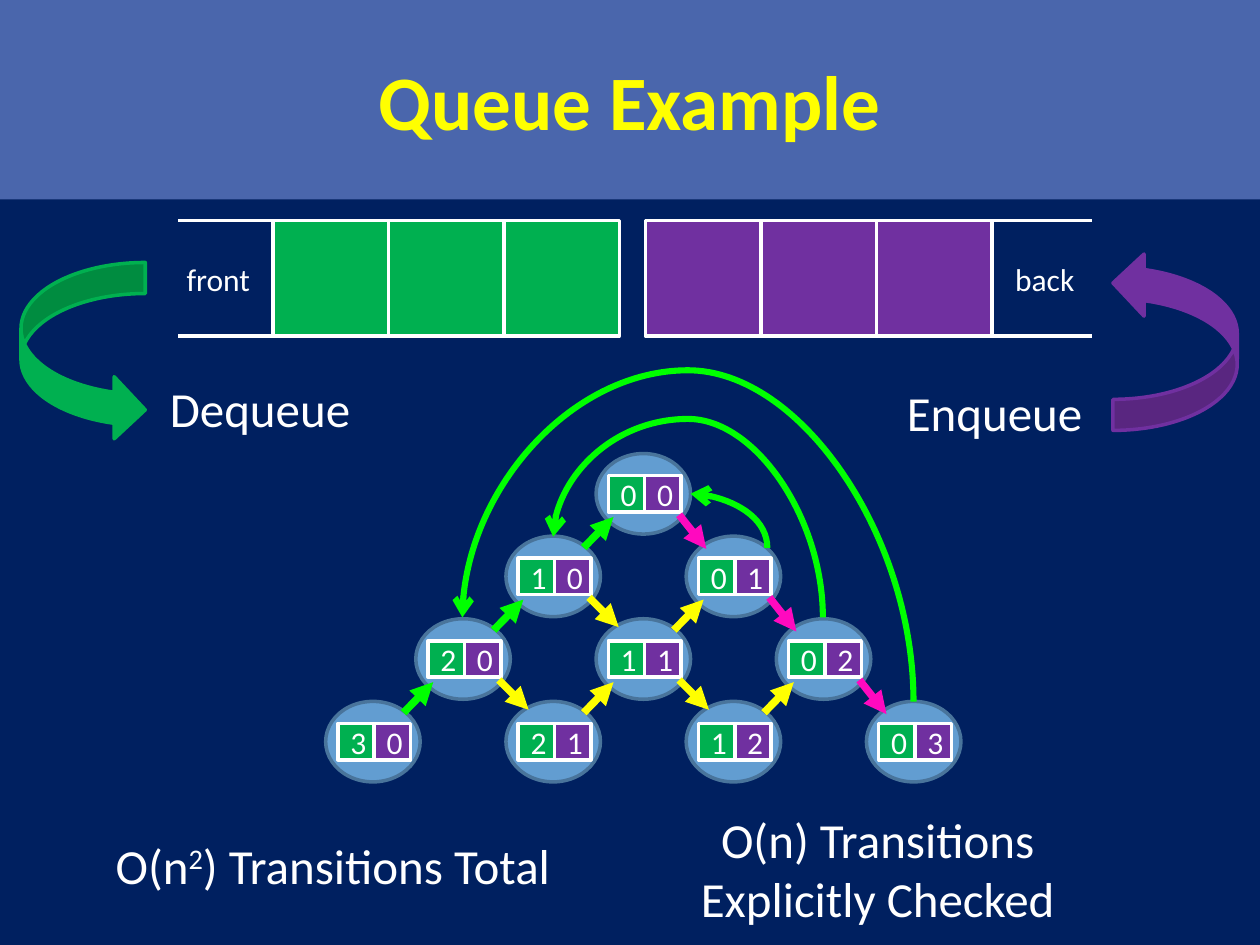
from pptx import Presentation
from pptx import util as u
from pptx.dml import color
from pptx.enum import shapes, text
from pptx.oxml import ns
from lxml import etree

COLORS = {
    "night": "002060", "banner": "4A66AC", "white": "FFFFFF",
    "title": "FFFF00", "front": "00B050", "back": "7030A0",
    "state": "629DD1", "state_edge": "49749B",
    "dequeue": "00FF00", "enqueue": "FF09BF", "implied": "FFFF00",
}
FONT = "Calibri"
PRESET = shapes.MSO_SHAPE
ALIGN = text.PP_ALIGN
LEVELS = 4
STATE_W, STATE_H = 54, 46
CELL = 20.8
SLOT = 66


def rgb(name):
    return color.RGBColor.from_string(COLORS[name])


def write(frame, runs, size, align, ink="white", bold=None):
    paragraph = frame.paragraphs[0]
    paragraph.alignment = align
    for words, baseline in runs:
        run = paragraph.add_run()
        run.text = words
        run.font.name = FONT
        run.font.size = u.Pt(size)
        run.font.bold = bold
        run.font.color.rgb = rgb(ink)
        if baseline:
            run.font._element.set("baseline", str(baseline))


def add_block(parent, preset, left, top, width, height, fill, edge=None):
    block = parent.add_shape(preset, u.Pt(left), u.Pt(top), u.Pt(width), u.Pt(height))
    block.shadow.inherit = False
    block.fill.solid()
    block.fill.fore_color.rgb = rgb(fill)
    if edge:
        block.line.color.rgb = rgb(edge)
        block.line.width = u.Pt(2)
    else:
        block.line.fill.background()
    return block


def add_label(parent, left, top, width, height, runs, size, align=ALIGN.LEFT):
    label = parent.add_textbox(u.Pt(left), u.Pt(top), u.Pt(width), u.Pt(height))
    label.text_frame.word_wrap = True
    write(label.text_frame, runs, size, align)


def add_line(parent, start, end, ink, width, head=None, kind=shapes.MSO_CONNECTOR.STRAIGHT):
    line = parent.add_connector(kind, *(u.Pt(v) for v in (*start, *end)))
    line.line.color.rgb = rgb(ink)
    line.line.width = u.Pt(width)
    if head:
        outline = line.line._get_or_add_ln()
        etree.SubElement(outline, ns.qn("a:tailEnd")).set("type", head)
    etree.SubElement(line._element.spPr, ns.qn("a:effectLst"))
    return line


def add_return_arc(parent, start, end, bend=None):
    mid_x, mid_y = (start[0] + end[0]) / 2, (start[1] + end[1]) / 2
    half_w, half_h = (start[1] - end[1]) / 2, (start[0] - end[0]) / 2
    arc = add_line(parent, (mid_x - half_w, mid_y + half_h), (mid_x + half_w, mid_y - half_h),
                   "dequeue", 3.5, "arrow", shapes.MSO_CONNECTOR.CURVE)
    properties = arc._element.spPr
    properties.find(ns.qn("a:xfrm")).set("rot", str(270 * 60000))
    geometry = properties.find(ns.qn("a:prstGeom"))
    geometry.set("prst", "curvedConnector3" if bend else "curvedConnector2")
    if bend:
        guide = etree.SubElement(geometry.find(ns.qn("a:avLst")), ns.qn("a:gd"))
        guide.set("name", "adj1")
        guide.set("fmla", f"val {round(bend * 100000)}")


def state_corner(level, enqueued):
    return 340.6 + 51.5 * (2 * enqueued - level), 259.2 + 47.2 * level


def add_state(parent, level, enqueued):
    left, top = state_corner(level, enqueued)
    state = parent.add_group_shape().shapes
    add_block(state, PRESET.OVAL, left, top, STATE_W, STATE_H, "state", "state_edge")
    for side, (count, fill) in enumerate([(level - enqueued, "front"), (enqueued, "back")]):
        cell = add_block(state, PRESET.RECTANGLE, left + 7 + side * CELL, top + 12.6,
                         CELL, CELL, fill, "white")
        cell.text_frame.vertical_anchor = text.MSO_ANCHOR.MIDDLE
        write(cell.text_frame, [(str(count), 0)], 18, ALIGN.CENTER)


def add_transition(parent, corner, offset, step, ink):
    start = corner[0] + offset[0], corner[1] + offset[1]
    end = start[0] + step[0], start[1] + step[1]
    add_line(parent, start, end, ink, 4.3, "triangle")


def add_state_graph(parent):
    states = [(level, i) for level in range(LEVELS) for i in range(level + 1)]
    for level, enqueued in states:
        add_state(parent, level, enqueued)
    for level, enqueued in states:
        corner = state_corner(level, enqueued)
        if enqueued < level:
            ink = "implied" if enqueued else "dequeue"
            add_transition(parent, corner, (44.5, 6.5), (17, -17.5), ink)
        if level < LEVELS - 1:
            checked = enqueued == level
            step = (15.5, 19.5) if checked else (17, 17)
            add_transition(parent, corner, (47.5, 35), step,
                           "enqueue" if checked else "implied")
    add_return_arc(parent, (438.5, 313.2), (394.6, 282.2))
    add_return_arc(parent, (470.2, 352.8), (316.1, 306.7), 2.46)
    add_return_arc(parent, (522, 401), (264.2, 352.8), 3.93)


def add_queue(parent):
    for first, fill in [(156, "front"), (368.8, "back")]:
        for slot in range(3):
            add_block(parent, PRESET.RECTANGLE, first + slot * SLOT, 126, SLOT, SLOT, fill, "white")
    for left, right in [(102, 159), (567, 624)]:
        for edge in (126, 126 + SLOT):
            add_line(parent, (right, edge), (left, edge), "white", 2)
    add_block(parent, PRESET.CURVED_RIGHT_ARROW, 12, 150, 71, 102, "front", "front")
    enqueue_arrow = add_block(parent, PRESET.CURVED_RIGHT_ARROW, 636, 144, 71, 102, "back", "back")
    frame = enqueue_arrow._element.spPr.find(ns.qn("a:xfrm"))
    frame.set("flipH", "1")
    frame.set("flipV", "1")
    add_label(parent, 90, 213, 145.5, 41, [("Dequeue", 0)], 28)
    add_label(parent, 480, 215, 145.5, 41, [("Enqueue", 0)], 28, ALIGN.RIGHT)
    add_label(parent, 84, 145, 66, 29, [("front", 0)], 18, ALIGN.RIGHT)
    add_label(parent, 573, 145, 66, 29, [("back", 0)], 18)


def add_title(parent):
    banner = add_block(parent, PRESET.RECTANGLE, 0, 0, 720, 114, "banner")
    banner.text_frame.vertical_anchor = text.MSO_ANCHOR.MIDDLE
    write(banner.text_frame, [("Queue Example", 0)], 44, ALIGN.CENTER, "title", True)


def main():
    deck = Presentation()
    deck.slide_width, deck.slide_height = u.Pt(720), u.Pt(540)
    slide = deck.slides.add_slide(deck.slide_layouts[6])
    slide.background.fill.solid()
    slide.background.fill.fore_color.rgb = rgb("night")
    add_title(slide.shapes)
    add_queue(slide.shapes)
    add_state_graph(slide.shapes)
    add_label(slide.shapes, 59, 474, 317, 41,
              [("O(n", 0), ("2", 30000), (") Transitions Total", 0)], 28)
    add_label(slide.shapes, 361, 459, 281, 75,
              [("O(n) Transitions Explicitly Checked", 0)], 28, ALIGN.CENTER)
    deck.save("out.pptx")


if __name__ == "__main__":
    main()
